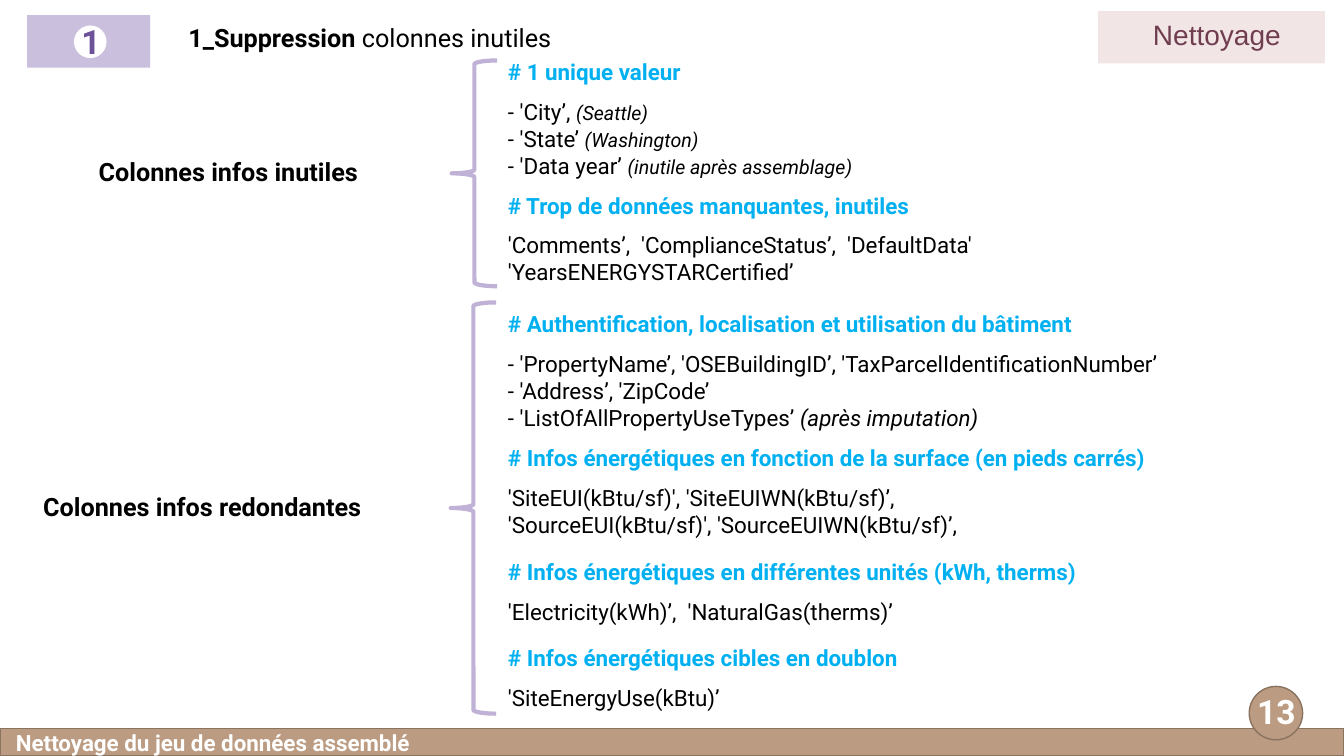
from pptx import Presentation
from pptx import util as u
from pptx.dml.color import RGBColor
from pptx.enum import shapes, text

PX = 9144  # 100 px to the inch
BLACK = RGBColor(0x00, 0x00, 0x00)
WHITE = RGBColor(0xFF, 0xFF, 0xFF)
BLUE = RGBColor(0x00, 0xB0, 0xF0)
ROSE = RGBColor(0xF1, 0xE6, 0xE5)
PLUM = RGBColor(0x70, 0x3D, 0x50)
LILAC = RGBColor(0xCA, 0xBF, 0xDC)
VIOLET = RGBColor(0x6C, 0x52, 0x99)
MAUVE = RGBColor(0xBF, 0xB2, 0xD6)
TAN = RGBColor(0xBB, 0x9B, 0x81)
BROWN = RGBColor(0x8A, 0x73, 0x5F)
KIND = shapes.MSO_SHAPE

deck = Presentation()
deck.slide_width, deck.slide_height = 1333 * PX, 750 * PX
slide = deck.slides.add_slide(deck.slide_layouts[6])


def draw(kind, box, fill=None, line=None, width=1):
    shape = slide.shapes.add_shape(kind, *[n * PX for n in box])
    shape.shadow.inherit = False
    if fill is None:
        shape.fill.background()
    else:
        shape.fill.solid()
        shape.fill.fore_color.rgb = fill
    if line is None:
        shape.line.fill.background()
    else:
        shape.line.color.rgb = line
        shape.line.width = u.Pt(width)


def write(box, rows, align=text.PP_ALIGN.LEFT):
    """Rows are (space before, runs); a run is (words, size, colour, bold, italic, font)."""
    frame = slide.shapes.add_textbox(*[n * PX for n in box]).text_frame
    frame.word_wrap = True
    for i, (gap, runs) in enumerate(rows):
        para = frame.add_paragraph() if i else frame.paragraphs[0]
        para.alignment = align
        if gap:
            para.space_before = u.Pt(gap)
        for words, size, color, bold, italic, face in runs:
            run = para.add_run()
            run.text = words
            run.font.size = u.Pt(size)
            run.font.color.rgb = color
            run.font.bold = bold
            run.font.italic = italic
            run.font.name = face


# Column lists: gap above heading, heading, gap below, lines of (name, remark), remark size
parts = [
    (0, "# 1 unique valeur", 9.5,
     [("- 'City’, ", "(Seattle)"),
      ("- 'State’ ", "(Washington)"),
      ("- 'Data year’ ", "(inutile après assemblage)")], 14),
    (9.5, "# Trop de données manquantes, inutiles", 8.5,
     [("'Comments’,  'ComplianceStatus’,  'DefaultData'", ""),
      ("'YearsENERGYSTARCertified’", "")], 16),
    (18, "# Authentification, localisation et utilisation du bâtiment", 9.5,
     [("- 'PropertyName’, 'OSEBuildingID’, 'TaxParcelIdentificationNumber’", ""),
      ("- 'Address’, 'ZipCode’", ""),
      ("- 'ListOfAllPropertyUseTypes’ ", "(après imputation)")], 16),
    (9.5, "# Infos énergétiques en fonction de la surface (en pieds carrés)", 9.5,
     [("'SiteEUI(kBtu/sf)', 'SiteEUIWN(kBtu/sf)’,", ""),
      ("'SourceEUI(kBtu/sf)', 'SourceEUIWN(kBtu/sf)’,", "")], 16),
    (14, "# Infos énergétiques en différentes unités (kWh, therms)", 9.5,
     [("'Electricity(kWh)’,  'NaturalGas(therms)’", "")], 16),
    (14, "# Infos énergétiques cibles en doublon", 9.5,
     [("'SiteEnergyUse(kBtu)’", "")], 16),
]
rows = []
for above, head, below, lines, small in parts:
    rows.append((above, [(head, 16, BLUE, True, False, "Roboto")]))
    for i, (name, remark) in enumerate(lines):
        runs = [(name, 16, BLACK, False, False, "Roboto")]
        if remark:
            runs.append((remark, small, BLACK, False, True, "Roboto"))
        rows.append((0 if i else below, runs))
write((494, 53, 830, 682), rows)

# Header
draw(KIND.RECTANGLE, (1089, 11, 225, 52), ROSE)
write((1129, 12, 156, 42), [(0, [("Nettoyage", 20, PLUM, False, False, "Arial")])],
      text.PP_ALIGN.CENTER)
write((177, 17, 423, 40), [(0, [
    ("1_Suppression", 18, BLACK, True, False, "Roboto"),
    (" colonnes inutiles", 18, BLACK, False, False, "Roboto")])])
draw(KIND.RECTANGLE, (27, 15, 122, 52), LILAC)
draw(KIND.OVAL, (74, 26, 31, 31), WHITE, WHITE)

# Braces, footer and page badge
for top, height in ((60, 224), (300, 408)):
    draw(KIND.LEFT_BRACE, (448 if top == 60 else 447, top, 45, height), None, MAUVE, 3)
draw(KIND.RECTANGLE, (0, 723, 1333, 27), TAN, BROWN)
draw(KIND.OVAL, (1239, 681, 53, 53), TAN, BROWN)

# Bold labels
for box, words, size, color in (
    ((71, 16, 67, 50), "1", 24, VIOLET),
    ((88, 150, 353, 40), "Colonnes infos inutiles", 18, BLACK),
    ((33, 483, 408, 40), "Colonnes infos redondantes", 18, BLACK),
    ((1237, 681, 67, 50), "13", 24, WHITE),
    ((6, 718, 464, 37), "Nettoyage du jeu de données assemblé", 16, WHITE),
):
    write(box, [(0, [(words, size, color, True, False, "Roboto")])])

deck.save("out.pptx")
